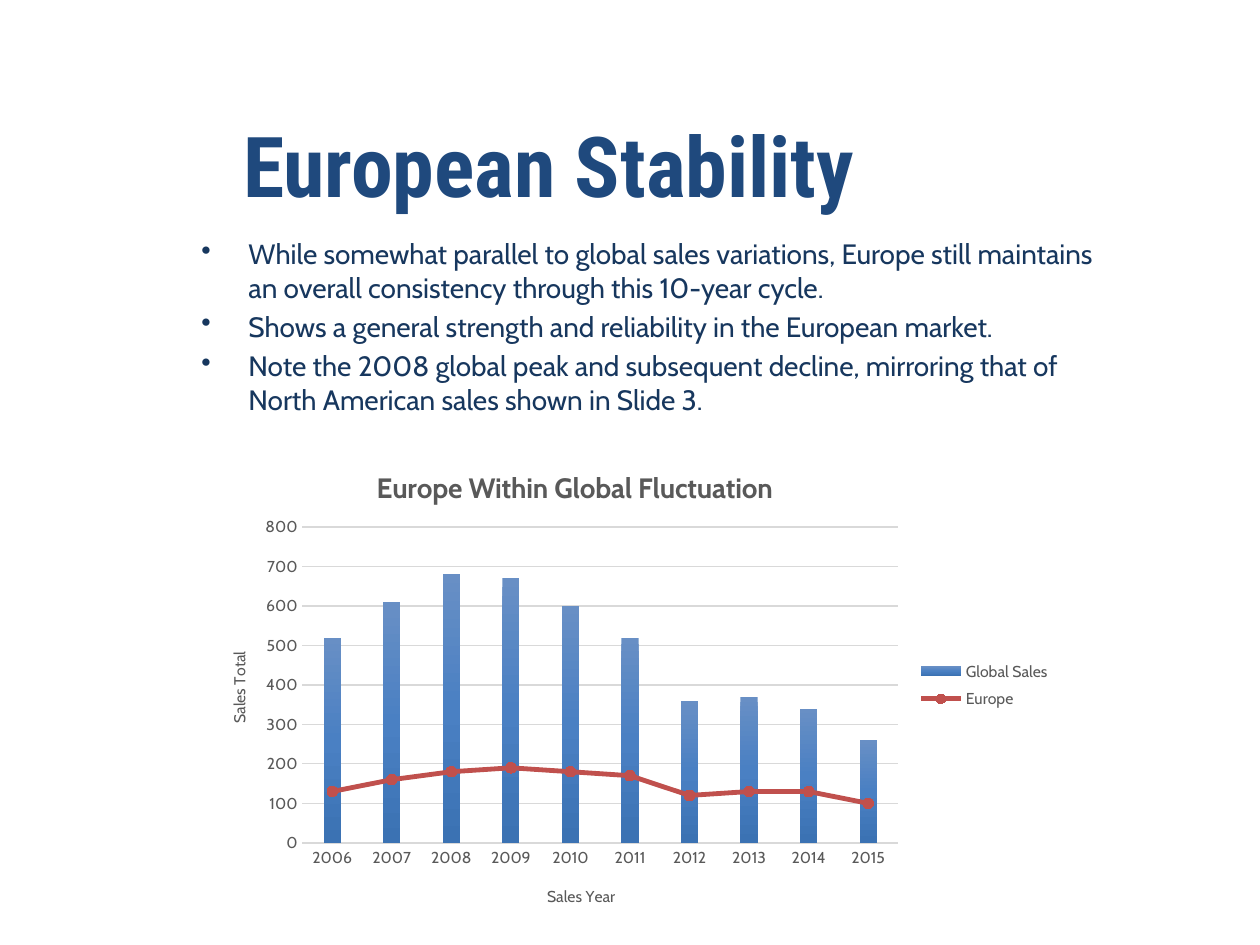
from pptx import Presentation, util as u
from pptx.chart import data
from pptx.dml.color import RGBColor
from pptx.enum import chart as ch, text
from pptx.oxml import parse_xml
from pptx.oxml.ns import nsdecls, qn
from copy import deepcopy

HUES = {"title": "1F497D", "body": "17375E", "label": "595959", "grid": "D9D9D9",
        "line": "C0504D", "dot": "C64B47",
        "top": "688FC5", "mid": "4A80C3", "base": "3B72B3"}
POINTS = [
    "While somewhat parallel to global sales variations, Europe still maintains "
    "an overall consistency through this 10-year cycle.",
    "Shows a general strength and reliability in the European market.",
    "Note the 2008 global peak and subsequent decline, mirroring that of "
    "North American sales shown in Slide 3.",
]
SALES = {
    "Global Sales": [520, 610, 680, 670, 600, 520, 360, 370, 340, 260],
    "Europe": [130, 160, 180, 190, 180, 170, 120, 130, 130, 100],
}


def hue(name):
    return RGBColor.from_string(HUES[name])


def strip(part, tag):
    for old in part.findall(qn(tag)):
        part.remove(old)


def place(part, x, y, w=None, h=None):
    """Fix a chart part's position, as fractions of the chart's size."""
    strip(part, "c:layout")
    inner = '<c:layoutTarget val="inner"/>' if part.tag == qn("c:plotArea") else ""
    size = f'<c:w val="{w}"/><c:h val="{h}"/>' if w else ""
    layout = parse_xml(
        f'<c:layout {nsdecls("c")}><c:manualLayout>{inner}<c:xMode val="edge"/>'
        f'<c:yMode val="edge"/><c:x val="{x}"/><c:y val="{y}"/>{size}'
        '</c:manualLayout></c:layout>')
    over = part.find(qn("c:overlay"))
    if over is None:
        part.insert(0, layout)
    else:
        over.addprevious(layout)


class Deck:
    def __init__(self):
        self.show = Presentation()
        self.show.slide_width, self.show.slide_height = u.Cm(25.4), u.Cm(19.05)
        self.slide = self.show.slides.add_slide(self.show.slide_layouts[6])

    def style(self, font, size, tint, bold=False, face="Cabin"):
        font.name, font.size, font.bold = face, u.Pt(size), bold
        font.color.rgb = hue(tint)

    def frame(self, *box):
        frame = self.slide.shapes.add_textbox(*map(u.Cm, box)).text_frame
        frame.word_wrap = True
        return frame

    def title(self, words, *box):
        frame = self.frame(*box)
        frame.vertical_anchor = text.MSO_ANCHOR.BOTTOM
        frame.text = words
        self.style(frame.paragraphs[0].font, 48, "title", True, "Roboto Condensed")

    def bullets(self, lines, *box):
        frame = self.frame(*box)
        frame.text = "\n".join(lines)
        for para in frame.paragraphs:
            self.style(para.font, 16, "body")
            para.space_before = u.Pt(3.2)
            props = para._p.get_or_add_pPr()
            props.set("marL", str(u.Cm(0.95)))
            props.set("indent", str(-u.Cm(0.95)))
            mark = parse_xml(f'<a:buChar {nsdecls("a")} char="•"/>')
            props.find(qn("a:defRPr")).addprevious(mark)

    def label(self, owner, words, size, x, y, bold=False):
        """Give a chart or an axis its title."""
        head = owner.chart_title if hasattr(owner, "chart_title") else owner.axis_title
        head.text_frame.text = words
        self.style(head.text_frame.paragraphs[0].font, size, "label", bold)
        place(head._element, x, y)
        return head

    def axis(self, axis, words, x, y):
        axis.major_tick_mark = axis.minor_tick_mark = ch.XL_TICK_MARK.NONE
        self.style(axis.tick_labels.font, 9, "label")
        return self.label(axis, words, 9, x, y)

    def bars(self, plot):
        plot.gap_width, plot.overlap, plot.vary_by_categories = 247, -27, False
        fill = plot.series[0].format.fill
        fill.gradient()
        fill.gradient_angle = 270
        ends = plot.series[0]._element.find(".//" + qn("a:gsLst"))
        ends.insert(1, deepcopy(ends[0]))
        for stop, tint, pos in zip(fill.gradient_stops, ("top", "mid", "base"), (0, 0.5, 1)):
            stop.color.rgb, stop.position = hue(tint), pos

    def split(self, chart):
        """Move the second bar series to a line plot on the same axes."""
        bar = chart.plots[0]._element
        ser = bar.findall(qn("c:ser"))[1]
        strip(ser, "c:invertIfNegative")
        line = parse_xml(f'<c:lineChart {nsdecls("c")}><c:grouping val="standard"/>'
                         '<c:varyColors val="0"/><c:marker val="1"/></c:lineChart>')
        line.insert(2, ser)
        line.extend([deepcopy(ax) for ax in bar.findall(qn("c:axId"))])
        bar.addnext(line)
        trend = chart.plots[1].series[0]
        trend.smooth = False
        trend.format.line.color.rgb = hue("line")
        trend.format.line.width = u.Pt(2.75)
        dot = trend.marker
        dot.style, dot.size = ch.XL_MARKER_STYLE.CIRCLE, 6
        for part in (dot.format.fill, dot.format.line.fill):
            part.solid()
            part.fore_color.rgb = hue("dot")

    def chart(self, sales, *box):
        table = data.CategoryChartData()
        table.categories = [str(year) for year in range(2006, 2016)]
        for name, vals in sales.items():
            table.add_series(name, vals)
        chart = self.slide.shapes.add_chart(
            ch.XL_CHART_TYPE.COLUMN_CLUSTERED, *map(u.Cm, box), table).chart
        self.style(chart.font, 10, "label")
        self.split(chart)
        self.bars(chart.plots[0])
        self.label(chart, "Europe Within Global Fluctuation", 16, 0.2, 0.05, True)
        cat, val = chart.category_axis, chart.value_axis
        self.axis(cat, "Sales Year", 0.4, 0.91)
        cat.format.line.color.rgb = hue("grid")
        cat.format.line.width = u.Pt(1)
        head = self.axis(val, "Sales Total", 0.03, 0.43)
        head._element.find(".//" + qn("a:bodyPr")).set("rot", "-5400000")
        val.minimum_scale, val.maximum_scale, val.major_unit = 0, 800, 100
        val.format.line.fill.background()
        grid = val.major_gridlines.format.line
        grid.color.rgb, grid.width = hue("grid"), u.Pt(0.75)
        chart.has_legend = True
        chart.legend.position = ch.XL_LEGEND_POSITION.RIGHT
        chart.legend.include_in_layout = False
        self.style(chart.legend.font, 9, "label")
        place(chart.legend._element, 0.82, 0.44, 0.18, 0.13)
        place(chart._chartSpace.find(".//" + qn("c:plotArea")), 0.12, 0.18, 0.69, 0.65)


def main():
    deck = Deck()
    deck.title("European Stability", 4.65, 1.27, 19.05, 3.18)
    deck.bullets(POINTS, 3.81, 4.65, 18.85, 4.24)
    deck.chart(SALES, 4.01, 8.86, 17.4, 9.8)
    deck.show.save("out.pptx")


if __name__ == "__main__":
    main()
